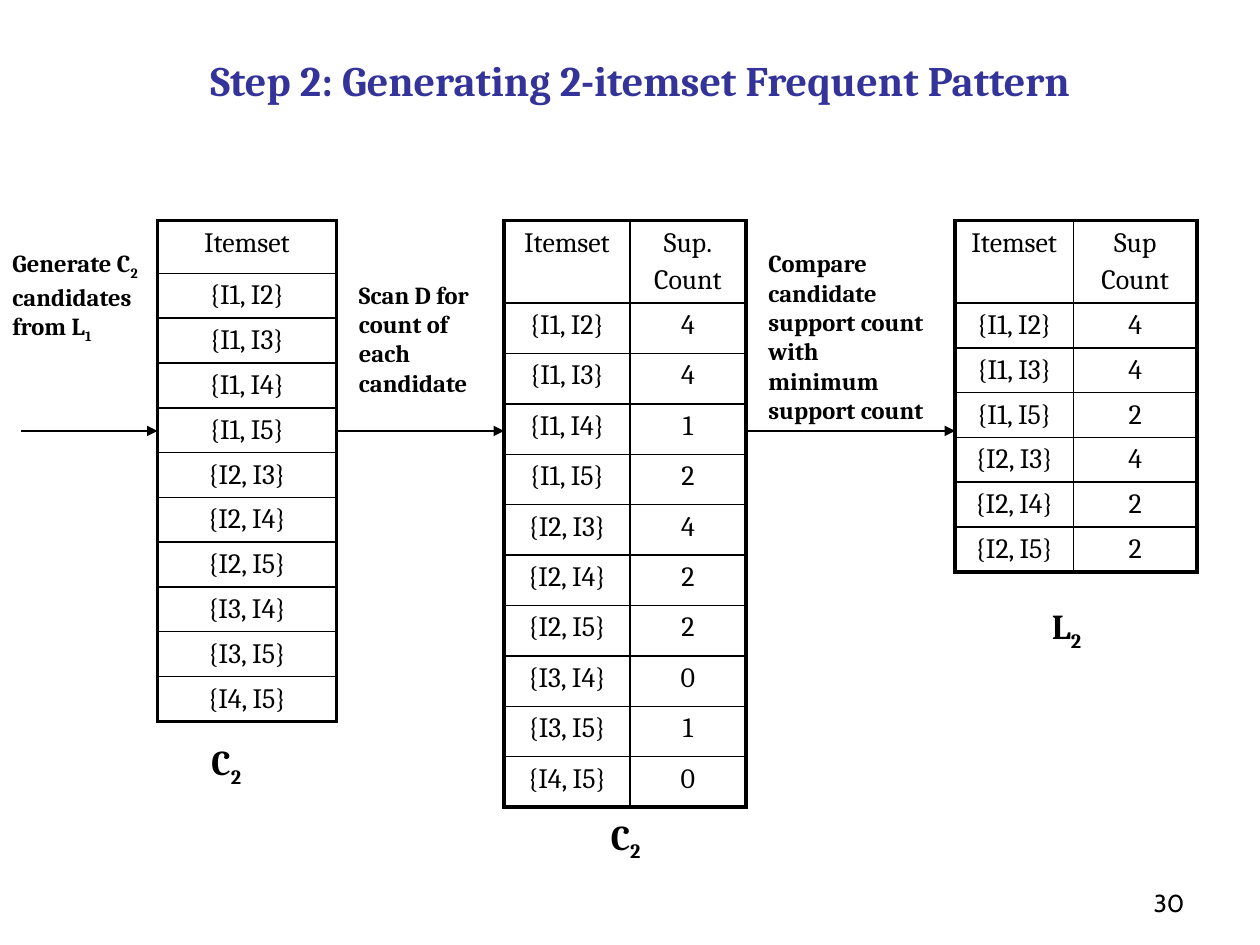
"""Build the slide on generating the 2-itemset frequent pattern."""
from lxml.etree import SubElement
from pptx import Presentation
from pptx.dml.color import RGBColor
from pptx.enum.shapes import MSO_CONNECTOR
from pptx.enum.text import MSO_ANCHOR, PP_ALIGN
from pptx.oxml.ns import qn
from pptx.util import Inches, Pt

COLORS = {"title": "333399", "ink": "000000"}
SERIF = "Cambria"
OUTER, INNER = 2.25, 1
TABLE_TOP, ARROW_Y = 1.75, 3.42

CANDIDATES = ["{I1, I2}", "{I1, I3}", "{I1, I4}", "{I1, I5}", "{I2, I3}",
              "{I2, I4}", "{I2, I5}", "{I3, I4}", "{I3, I5}", "{I4, I5}"]
COUNTS = [4, 4, 1, 2, 4, 2, 2, 0, 1, 0]
MINIMUM = 2
COUNTED = list(zip(CANDIDATES, COUNTS))
FREQUENT = [(itemset, count) for itemset, count in COUNTED if count >= MINIMUM]

TABLES = [
    {"left": 1.25, "columns": [1.42], "header": 0.42, "row": 0.33,
     "rows": [("Itemset",)] + [(itemset,) for itemset in CANDIDATES]},
    {"left": 4, "columns": [1, 0.92], "header": 0.51, "row": 0.4,
     "rows": [("Itemset", "Sup.\nCount")] + COUNTED},
    {"left": 7.58, "columns": [0.94, 0.98], "header": 0.53, "row": 0.33,
     "rows": [("Itemset", "Sup\nCount")] + FREQUENT},
]
ARROWS = [(0.17, 1.25), (2.67, 4), (5.92, 7.58)]

HEADING = {"size": 24, "bold": True, "color": "title",
           "align": PP_ALIGN.CENTER, "anchor": MSO_ANCHOR.BOTTOM}
PAGE = {"size": 14, "font": "Cabin",
        "align": PP_ALIGN.RIGHT, "anchor": MSO_ANCHOR.BOTTOM}
NOTE = {"size": 14, "bold": True, "before": 50}
LABEL = {"size": 20, "bold": True, "before": 50}
CELL = {"size": 16, "before": 20, "align": PP_ALIGN.CENTER}

TEXTS = [
    ((0.58, 0.25, 9, 0.63), ["Step 2: Generating 2-itemset Frequent Pattern"], HEADING),
    ((7.17, 6.83, 2.33, 0.5), ["30"], PAGE),
    ((0, 1.92, 1.25, 1.03), ["Generate C", "2 ", "candidates from L", "1"], NOTE),
    ((2.75, 2.17, 1.25, 1.03), ["Scan D for count of each candidate"], NOTE),
    ((6, 1.92, 1.5, 1.5),
     ["Compare candidate support count with minimum support count"], NOTE),
    ((1.58, 5.83, 0.58, 0.43), ["C", "2"], LABEL),
    ((4.75, 6.42, 0.58, 0.43), ["C", "2"], LABEL),
    ((8.25, 4.75, 0.58, 0.43), ["L", "2"], LABEL),
]


def write_paragraph(paragraph, pieces, style):
    """Write pieces as runs, every second one a subscript."""
    paragraph.alignment = style.get("align", PP_ALIGN.LEFT)
    if "before" in style:
        spacing = SubElement(paragraph._p.get_or_add_pPr(), qn("a:spcBef"))
        SubElement(spacing, qn("a:spcPct"), val=str(style["before"] * 1000))
    for index, piece in enumerate(pieces):
        run = paragraph.add_run()
        run.text = piece
        values = {"name": style.get("font", SERIF), "size": Pt(style["size"]),
                  "bold": style.get("bold", False)}
        for name, value in values.items():
            setattr(run.font, name, value)
        run.font.color.rgb = RGBColor.from_string(COLORS[style.get("color", "ink")])
        if index % 2:
            run.font._element.set("baseline", "-25000")


def add_text(slide, box, pieces, style):
    """Add a wrapped text box."""
    frame = slide.shapes.add_textbox(*map(Inches, box)).text_frame
    frame.word_wrap = True
    frame.vertical_anchor = style.get("anchor", MSO_ANCHOR.TOP)
    write_paragraph(frame.paragraphs[0], pieces, style)


def set_borders(cell, widths):
    """Draw the four cell borders at the given point widths."""
    properties = cell._tc.get_or_add_tcPr()
    for side, width in widths.items():
        line = SubElement(properties, qn(f"a:ln{side}"), w=str(Pt(width)))
        fill = SubElement(line, qn("a:solidFill"))
        SubElement(fill, qn("a:srgbClr"), val=COLORS["ink"])


def add_itemset_table(slide, data):
    """Add a table with a heavy frame and thin inner lines."""
    rows, columns = data["rows"], data["columns"]
    heights = [data["header"]] + [data["row"]] * (len(rows) - 1)
    box = (data["left"], TABLE_TOP, sum(columns), sum(heights))
    table = slide.shapes.add_table(len(rows), len(columns), *map(Inches, box)).table
    table.first_row = table.horz_banding = False
    for column, width in zip(table.columns, columns):
        column.width = Inches(width)
    for row, height in zip(table.rows, heights):
        row.height = Inches(height)
    for i, values in enumerate(rows):
        for j, value in enumerate(values):
            cell = table.cell(i, j)
            edges = {"L": j == 0, "R": j == len(columns) - 1,
                     "T": i == 0, "B": i == len(rows) - 1}
            set_borders(cell, {side: OUTER if edge else INNER
                               for side, edge in edges.items()})
            cell.fill.background()
            for k, line in enumerate(str(value).split("\n")):
                frame = cell.text_frame
                paragraph = frame.add_paragraph() if k else frame.paragraphs[0]
                write_paragraph(paragraph, [line], CELL)


def add_arrow(slide, start, end):
    """Add a horizontal arrow."""
    arrow = slide.shapes.add_connector(
        MSO_CONNECTOR.STRAIGHT, *map(Inches, (start, ARROW_Y, end, ARROW_Y)))
    arrow.line.width = Pt(0.75)
    arrow.line.color.rgb = RGBColor.from_string(COLORS["ink"])
    SubElement(arrow.line._get_or_add_ln(), qn("a:tailEnd"), type="triangle")
    SubElement(arrow._element.spPr, qn("a:effectLst"))


def main():
    """Build and save the slide."""
    presentation = Presentation()
    presentation.slide_width, presentation.slide_height = Inches(10), Inches(7.5)
    slide = presentation.slides.add_slide(presentation.slide_layouts[6])
    for data in TABLES:
        add_itemset_table(slide, data)
    for start, end in ARROWS:
        add_arrow(slide, start, end)
    for box, pieces, style in TEXTS:
        add_text(slide, box, pieces, style)
    presentation.save("out.pptx")


if __name__ == "__main__":
    main()
